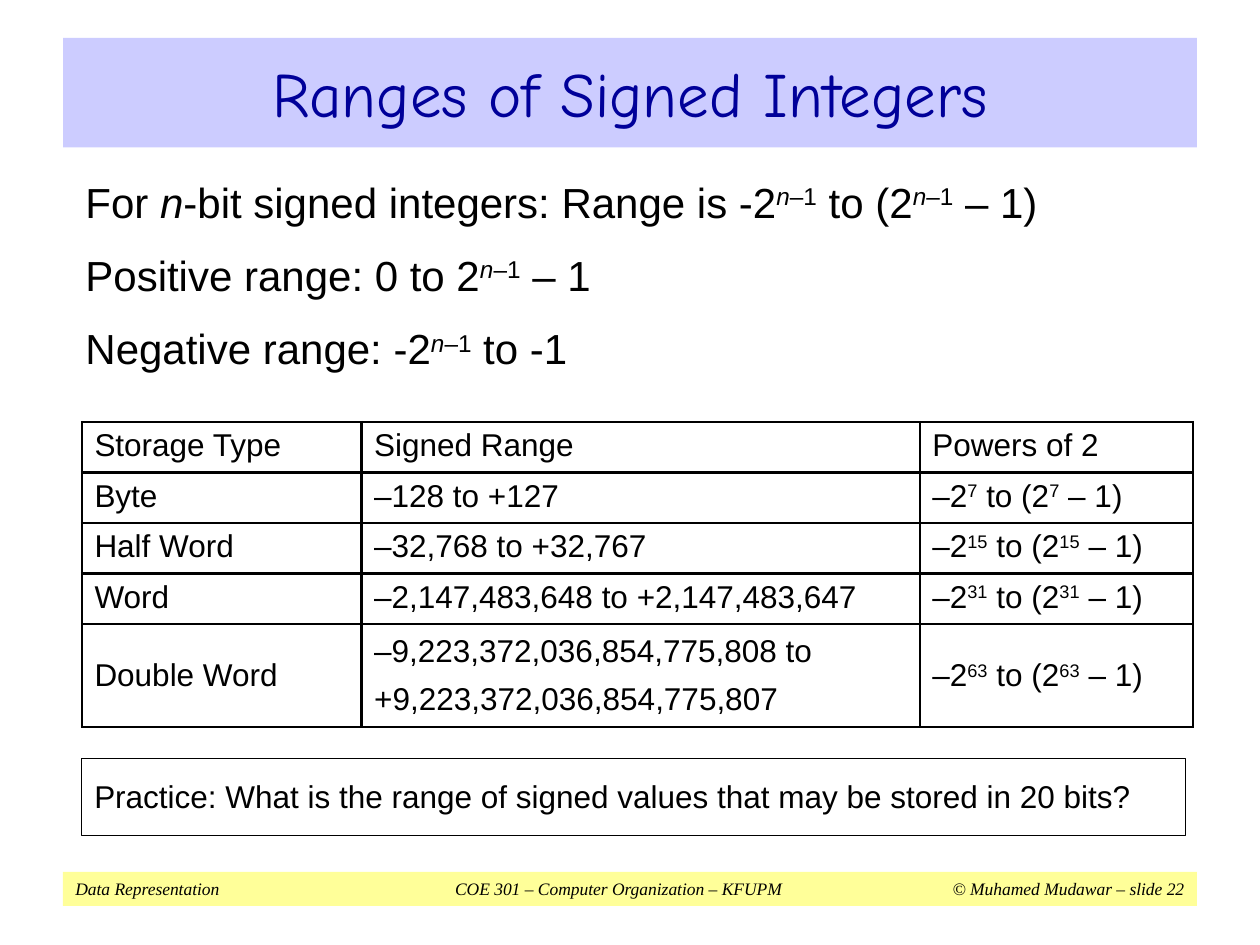
from lxml.etree import SubElement
from pptx import Presentation
from pptx.dml.color import RGBColor
from pptx.enum.shapes import MSO_SHAPE
from pptx.enum.text import MSO_ANCHOR, MSO_AUTO_SIZE, PP_ALIGN
from pptx.oxml import parse_xml
from pptx.oxml.ns import nsdecls, qn
from pptx.util import Inches, Pt


def rgb(value):
    return RGBColor.from_string(value)


class SlideBuilder:
    """Hold the style and current slide; in text, ^ toggles superscript and _ italic."""

    body_font = "Arial"
    title_font = "Comic Neue"
    footer_font = "Times New Roman"
    ink = "000000"
    title_ink = "000099"
    title_fill = "CCCCFF"
    footer_fill = "FFFF99"

    def __init__(self, slide):
        self.s = slide

    def style(self, p, size, font=None, color=None, before=0):
        p.font.size = Pt(size)
        p.font.name = font or self.body_font
        p.font.color.rgb = rgb(color or self.ink)
        p.space_before = Pt(before)

    def add_lines(self, tf, lines, size, before=0):
        for i, line in enumerate(lines):
            p = tf.add_paragraph() if i else tf.paragraphs[0]
            p.alignment = PP_ALIGN.LEFT
            self.style(p, size, before=before if i else 0)
            for j, part in enumerate(line.split("^")):
                for k, piece in enumerate(part.split("_")):
                    if not piece:
                        continue
                    r = p.add_run()
                    r.text = piece
                    if k % 2:
                        r.font.italic = True
                    if j % 2:
                        r._r.get_or_add_rPr().set("baseline", "30000")

    def title(self, text, box):
        sp = self.s.shapes.title
        sp.left, sp.top, sp.width, sp.height = map(Inches, box)
        sp.fill.solid()
        sp.fill.fore_color.rgb = rgb(self.title_fill)
        tf = sp.text_frame
        tf.text = text
        tf.auto_size = MSO_AUTO_SIZE.NONE
        tf.vertical_anchor = MSO_ANCHOR.MIDDLE
        p = tf.paragraphs[0]
        p.alignment = PP_ALIGN.CENTER
        self.style(p, 36, self.title_font, self.title_ink)

    def text(self, lines, box, size, before=0):
        sp = self.s.shapes.add_textbox(*map(Inches, box))
        tf = sp.text_frame
        tf.word_wrap = True
        tf.margin_top = tf.margin_bottom = Inches(0.15)
        self.add_lines(tf, lines, size, before)
        return sp

    def framed_text(self, line, box, size):
        sp = self.text([line], box, size)
        sp.line.color.rgb = rgb(self.ink)
        sp.line.width = Pt(0.75)

    def footer(self, parts, box, tabs):
        sp = self.s.shapes.add_shape(MSO_SHAPE.RECTANGLE, *map(Inches, box))
        sp.shadow.inherit = False
        sp.fill.solid()
        sp.fill.fore_color.rgb = rgb(self.footer_fill)
        sp.line.fill.background()
        tf = sp.text_frame
        tf.word_wrap = True
        p = tf.paragraphs[0]
        p.alignment = PP_ALIGN.LEFT
        p.add_run().text = "\t".join(parts)
        self.style(p, 10, self.footer_font)
        p.font.italic = True
        tab_list = parse_xml(f"<a:tabLst {nsdecls('a')}/>")
        for position, align in tabs:
            SubElement(tab_list, qn("a:tab"), pos=str(Inches(position)), algn=align)
        p._p.pPr.find(qn("a:defRPr")).addprevious(tab_list)

    def border(self, cell, width=1.5):
        tc_pr = cell._tc.get_or_add_tcPr()
        for i, side in enumerate("LRTB"):
            tc_pr.insert(i, parse_xml(
                f'<a:ln{side} {nsdecls("a")} w="{Pt(width)}"><a:solidFill>'
                f'<a:srgbClr val="{self.ink}"/></a:solidFill></a:ln{side}>'))

    def table(self, rows, left, top, widths, heights, size):
        frame = self.s.shapes.add_table(
            len(rows), len(widths), Inches(left), Inches(top),
            Inches(sum(widths)), Inches(sum(heights)))
        table = frame.table
        table.first_row = table.horz_banding = False
        for column, width in zip(table.columns, widths):
            column.width = Inches(width)
        for i, (values, height) in enumerate(zip(rows, heights)):
            table.rows[i].height = Inches(height)
            for j, value in enumerate(values):
                cell = table.cell(i, j)
                cell.fill.background()
                self.border(cell)
                if i == len(rows) - 1:
                    cell.vertical_anchor = MSO_ANCHOR.MIDDLE
                self.add_lines(cell.text_frame, value.split("\n"), size, before=7)


def power_range(bits):
    return f"–2^{bits}^ to (2^{bits}^ – 1)"


def main():
    prs = Presentation()
    prs.slide_width, prs.slide_height = Inches(10), Inches(7.5)
    b = SlideBuilder(prs.slides.add_slide(prs.slide_layouts[5]))
    b.footer(
        ["Data Representation", "COE 301 – Computer Organization – KFUPM",
         "© Muhamed Mudawar – slide 22"],
        (0.5, 6.92, 9, 0.27), [(4.31, "ctr"), (8.8, "r")])
    b.title("Ranges of Signed Integers", (0.5, 0.3, 9, 0.87))
    power = "2^_n_–1^"
    b.text(
        [f"For _n_-bit signed integers: Range is -{power} to ({power} – 1)",
         f"Positive range: 0 to {power} – 1",
         f"Negative range: -{power} to -1"],
        (0.58, 1.25, 8.83, 1.9), 24, before=13)
    b.framed_text(
        "Practice: What is the range of signed values that may be stored in 20 bits?",
        (0.65, 6.02, 8.76, 0.61), 18)
    b.table(
        [("Storage Type", "Signed Range", "Powers of 2"),
         ("Byte", "–128 to +127", power_range(7)),
         ("Half Word", "–32,768 to +32,767", power_range(15)),
         ("Word", "–2,147,483,648 to +2,147,483,647", power_range(31)),
         ("Double Word",
          "–9,223,372,036,854,775,808 to\n+9,223,372,036,854,775,807",
          power_range(63))],
        0.65, 3.35, [2.22, 4.43, 2.17], [0.4] * 4 + [0.82], 18)
    prs.save("out.pptx")


if __name__ == "__main__":
    main()
